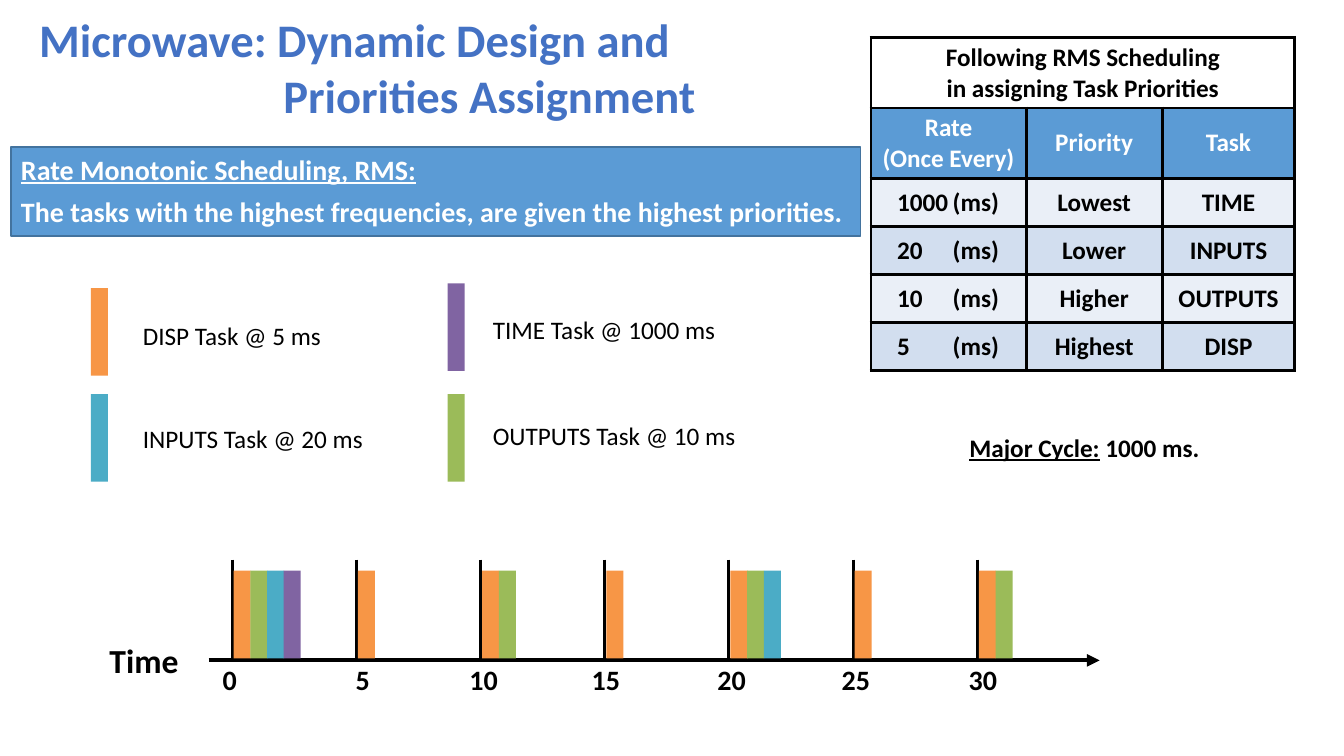
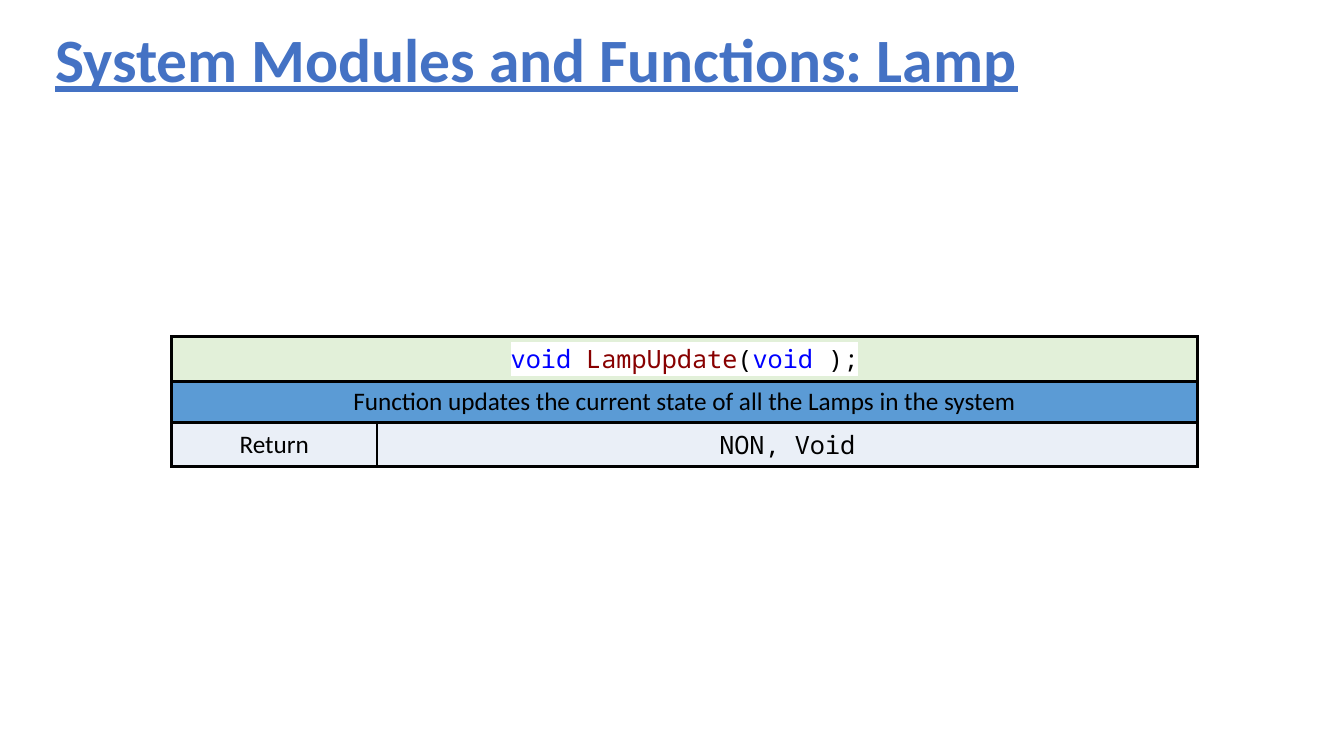
from dataclasses import dataclass

from lxml.etree import SubElement
from pptx import Presentation
from pptx.dml.color import RGBColor
from pptx.enum.shapes import MSO_CONNECTOR, MSO_SHAPE
from pptx.enum.text import MSO_ANCHOR as ANCHOR, PP_ALIGN as ALIGN
from pptx.oxml.ns import qn
from pptx.slide import Slide
from pptx.table import Table, _Cell as Cell
from pptx.text.text import TextFrame, _Paragraph as Paragraph
from pptx.util import Cm, Pt

BLACK = RGBColor(0x00, 0x00, 0x00)
WHITE = RGBColor(0xFF, 0xFF, 0xFF)
TITLE_BLUE = RGBColor(0x44, 0x72, 0xC4)
HEADER_BLUE = RGBColor(0x5B, 0x9B, 0xD5)
BANNER_EDGE = RGBColor(0x43, 0x73, 0x9E)
BAND_LIGHT = RGBColor(0xEA, 0xEF, 0xF7)
BAND_DARK = RGBColor(0xD2, 0xDE, 0xEF)
CODE_GREEN = RGBColor(0xE2, 0xF0, 0xD9)
KEYWORD_BLUE = RGBColor(0x00, 0x00, 0xFF)
NAME_RED = RGBColor(0x88, 0x00, 0x00)
ORANGE = RGBColor(0xF7, 0x96, 0x46)
GREEN = RGBColor(0x9B, 0xBB, 0x59)
TEAL = RGBColor(0x4B, 0xAC, 0xC6)
PURPLE = RGBColor(0x80, 0x64, 0xA2)

SANS, MONO = "Calibri", "Noto Sans Mono"
BAR_W, BAR_H, BAR_STEP = 0.43, 2.21, 0.42
AXIS_Y, TICK_TOP, BAR_TOP = 16.64, 14.1, 14.38
TICK_X, TICK_STEP = 5.85, 3.13
LABEL_LEFTS = [5.36, 8.71, 11.58, 14.66, 17.83, 20.96, 24.16]


@dataclass(frozen=True)
class Style:
    size: float = 18
    color: RGBColor = BLACK
    bold: bool = False
    underline: bool = False
    font: str = SANS
    highlight: RGBColor | None = None


@dataclass(frozen=True)
class Task:
    name: str
    period: int
    color: RGBColor
    bar: tuple[float, float]
    label: tuple[float, float]


# Shortest period first: the order in which tasks run at a tick
TASKS = [
    Task("DISP", 5, ORANGE, (2.29, 7.26), (3.35, 7.95)),
    Task("OUTPUTS", 10, GREEN, (11.28, 9.93), (12.17, 10.46)),
    Task("INPUTS", 20, TEAL, (2.29, 9.93), (3.35, 10.54)),
    Task("TIME", 1000, PURPLE, (11.28, 7.14), (12.17, 7.8)),
]
PRIORITIES = ["Highest", "Higher", "Lower", "Lowest"]

PLAIN = Style()
BOLD = Style(bold=True)
HEADER = Style(color=WHITE, bold=True)
TITLE_SMALL = Style(33.3, TITLE_BLUE, bold=True)
TITLE_LARGE = Style(44, TITLE_BLUE, bold=True, underline=True)
BANNER = Style(20, WHITE, bold=True)
BANNER_HEAD = Style(20, WHITE, bold=True, underline=True)


def add_run(p: Paragraph, text: str, style: Style) -> None:
    r = p.add_run()
    r.text = text
    font = r.font
    font.size, font.bold, font.name = Pt(style.size), style.bold, style.font
    font.underline = style.underline
    font.color.rgb = style.color
    if style.highlight is not None:
        rPr = r._r.get_or_add_rPr()
        mark = SubElement(rPr, qn("a:highlight"))
        SubElement(mark, qn("a:srgbClr")).set("val", str(style.highlight))
        rPr.find(qn("a:latin")).addprevious(mark)


def write(tf: TextFrame, lines: list[list[tuple[str, Style]]],
          align: ALIGN = ALIGN.LEFT) -> None:
    """Fill a text frame with one paragraph per list of runs."""
    for i, runs in enumerate(lines):
        p = tf.add_paragraph() if i else tf.paragraphs[0]
        p.alignment = align
        for text, style in runs:
            add_run(p, text, style)


def add_text(s: Slide, x: float, y: float, w: float, h: float,
             *lines: list[tuple[str, Style]], anchor: ANCHOR = ANCHOR.TOP) -> TextFrame:
    tf = s.shapes.add_textbox(Cm(x), Cm(y), Cm(w), Cm(h)).text_frame
    tf.word_wrap = True
    tf.vertical_anchor = anchor
    write(tf, list(lines))
    return tf


def add_bar(s: Slide, x: float, y: float, color: RGBColor) -> None:
    sp = s.shapes.add_shape(MSO_SHAPE.RECTANGLE, Cm(x), Cm(y), Cm(BAR_W), Cm(BAR_H))
    sp.shadow.inherit = False
    sp.fill.solid()
    sp.fill.fore_color.rgb = color
    sp.line.fill.background()


def add_line(s: Slide, x1: float, y1: float, x2: float, y2: float,
             width: float, arrow: bool = False) -> None:
    line = s.shapes.add_connector(MSO_CONNECTOR.STRAIGHT, Cm(x1), Cm(y1), Cm(x2), Cm(y2))
    line.line.color.rgb = BLACK
    line.line.width = Pt(width)
    if arrow:
        SubElement(line.line._get_or_add_ln(), qn("a:tailEnd")).set("type", "triangle")
    SubElement(line._element.spPr, qn("a:effectLst"))


def add_table(s: Slide, x: float, y: float, widths: list[float],
              heights: list[float]) -> Table:
    """Add a table with black borders and middle-anchored cells."""
    table = s.shapes.add_table(len(heights), len(widths), Cm(x), Cm(y),
                               Cm(sum(widths)), Cm(sum(heights))).table
    for column, width in zip(table.columns, widths):
        column.width = Cm(width)
    for row, height in zip(table.rows, heights):
        row.height = Cm(height)
    for cell in table.iter_cells():
        cell.vertical_anchor = ANCHOR.MIDDLE
        tcPr = cell._tc.get_or_add_tcPr()
        for side in ("lnL", "lnR", "lnT", "lnB"):
            ln = SubElement(tcPr, qn(f"a:{side}"))
            ln.set("w", str(Pt(2.25)))
            fill = SubElement(ln, qn("a:solidFill"))
            SubElement(fill, qn("a:srgbClr")).set("val", str(BLACK))
    return table


def fill_cell(cell: Cell, color: RGBColor, *lines: list[tuple[str, Style]],
              align: ALIGN = ALIGN.CENTER) -> None:
    cell.fill.solid()
    cell.fill.fore_color.rgb = color
    write(cell.text_frame, list(lines), align)


def fill_rate_cell(cell: Cell, color: RGBColor, period: int) -> None:
    """Line the units up under each other with a tab stop."""
    cell.margin_left = Cm(0.66)
    pPr = cell.text_frame.paragraphs[0]._p.get_or_add_pPr()
    tab = SubElement(SubElement(pPr, qn("a:tabLst")), qn("a:tab"))
    tab.set("pos", str(Cm(1.4)))
    tab.set("algn", "l")
    fill_cell(cell, color, [(f"{period}\t(ms)", BOLD)], align=ALIGN.LEFT)


def add_priority_table(s: Slide) -> None:
    table = add_table(s, 21.95, 0.94, [3.91, 3.43, 3.34], [1.78] * 2 + [1.21] * 4)
    table.cell(0, 0).merge(table.cell(0, 2))
    fill_cell(table.cell(0, 0), WHITE, [("Following RMS Scheduling", BOLD)],
              [("in assigning Task Priorities", BOLD)])
    headings = [["Rate", "(Once Every)"], ["Priority"], ["Task"]]
    for col, heading in enumerate(headings):
        fill_cell(table.cell(1, col), HEADER_BLUE, *[[(text, HEADER)] for text in heading])
    ranked = reversed(list(zip(TASKS, PRIORITIES)))
    for row, (task, priority) in enumerate(ranked, start=2):
        band = BAND_DARK if row % 2 else BAND_LIGHT
        fill_rate_cell(table.cell(row, 0), band, task.period)
        fill_cell(table.cell(row, 1), band, [(priority, BOLD)])
        fill_cell(table.cell(row, 2), band, [(task.name, BOLD)])


def add_banner(s: Slide) -> None:
    sp = s.shapes.add_shape(MSO_SHAPE.RECTANGLE, Cm(0.28), Cm(3.71), Cm(21.41), Cm(2.24))
    sp.shadow.inherit = False
    sp.fill.solid()
    sp.fill.fore_color.rgb = HEADER_BLUE
    sp.line.color.rgb = BANNER_EDGE
    sp.line.width = Pt(1)
    tf = sp.text_frame
    tf.word_wrap = True
    tf.vertical_anchor = ANCHOR.TOP
    write(tf, [
        [("Rate Monotonic Scheduling, RMS:", BANNER_HEAD)],
        [("The tasks with the highest frequencies, are given the highest priorities.", BANNER)],
    ])
    tf.paragraphs[1].space_before = Pt(6)


def add_timeline(s: Slide) -> None:
    add_line(s, 5.26, AXIS_Y, 27.71, AXIS_Y, 3, arrow=True)
    add_text(s, 2.51, 16, 2.6, 1.27, [("Time", Style(24, bold=True))])
    for i, label_left in enumerate(LABEL_LEFTS):
        time, x = 5 * i, TICK_X + i * TICK_STEP
        add_line(s, x, TICK_TOP, x, AXIS_Y, 2.25)
        due = [task for task in TASKS if time % task.period == 0]
        for n, task in enumerate(due):
            add_bar(s, x + 0.04 + n * BAR_STEP, BAR_TOP, task.color)
        add_text(s, label_left, 16.57, 1.5, 1.12, [(str(time), Style(20, bold=True))])


def build_scheduling_slide(s: Slide) -> None:
    tf = add_text(s, 0.74, 0.38, 19.05, 2.84,
                  [("Microwave: Dynamic Design and", TITLE_SMALL)],
                  [("Priorities Assignment", TITLE_SMALL)], anchor=ANCHOR.BOTTOM)
    tf.paragraphs[1]._p.get_or_add_pPr().set("marL", str(Cm(6.15)))
    add_timeline(s)
    for task in TASKS:
        add_bar(s, *task.bar, task.color)
        add_text(s, *task.label, 6.9, 1.02,
                 [(f"{task.name} Task @ {task.period} ms", PLAIN)])
    add_priority_table(s)
    add_banner(s)
    add_text(s, 24.18, 10.77, 6.6, 1.02,
             [("Major Cycle:", Style(bold=True, underline=True)), (" 1000 ms.", BOLD)])


def build_lamp_slide(s: Slide) -> None:
    tf = add_text(s, 1.14, 0.43, 32.23, 2.31,
                  [("System Modules and Functions: Lamp", TITLE_LARGE)],
                  anchor=ANCHOR.MIDDLE)
    tf.paragraphs[0].line_spacing = 0.9

    table = add_table(s, 4.32, 8.48, [5.18, 20.68], [1.13, 1.03, 1.12])
    for row in range(2):
        table.cell(row, 0).merge(table.cell(row, 1))
    keyword, name, sign = (Style(color=color, font=MONO, highlight=WHITE)
                           for color in (KEYWORD_BLUE, NAME_RED, BLACK))
    fill_cell(table.cell(0, 0), CODE_GREEN,
              [("void ", keyword), ("LampUpdate", name), ("(", sign),
               ("void ", keyword), (");", sign)])
    fill_cell(table.cell(1, 0), HEADER_BLUE,
              [("Function updates the current state of all the Lamps in the system", PLAIN)])
    fill_cell(table.cell(2, 0), BAND_LIGHT, [("Return", PLAIN)])
    fill_cell(table.cell(2, 1), BAND_LIGHT, [("NON, Void", Style(font=MONO))])


def main() -> None:
    prs = Presentation()
    prs.slide_width, prs.slide_height = Cm(33.87), Cm(19.05)
    for build in (build_scheduling_slide, build_lamp_slide):
        build(prs.slides.add_slide(prs.slide_layouts[6]))
    prs.save("out.pptx")


if __name__ == "__main__":
    main()
